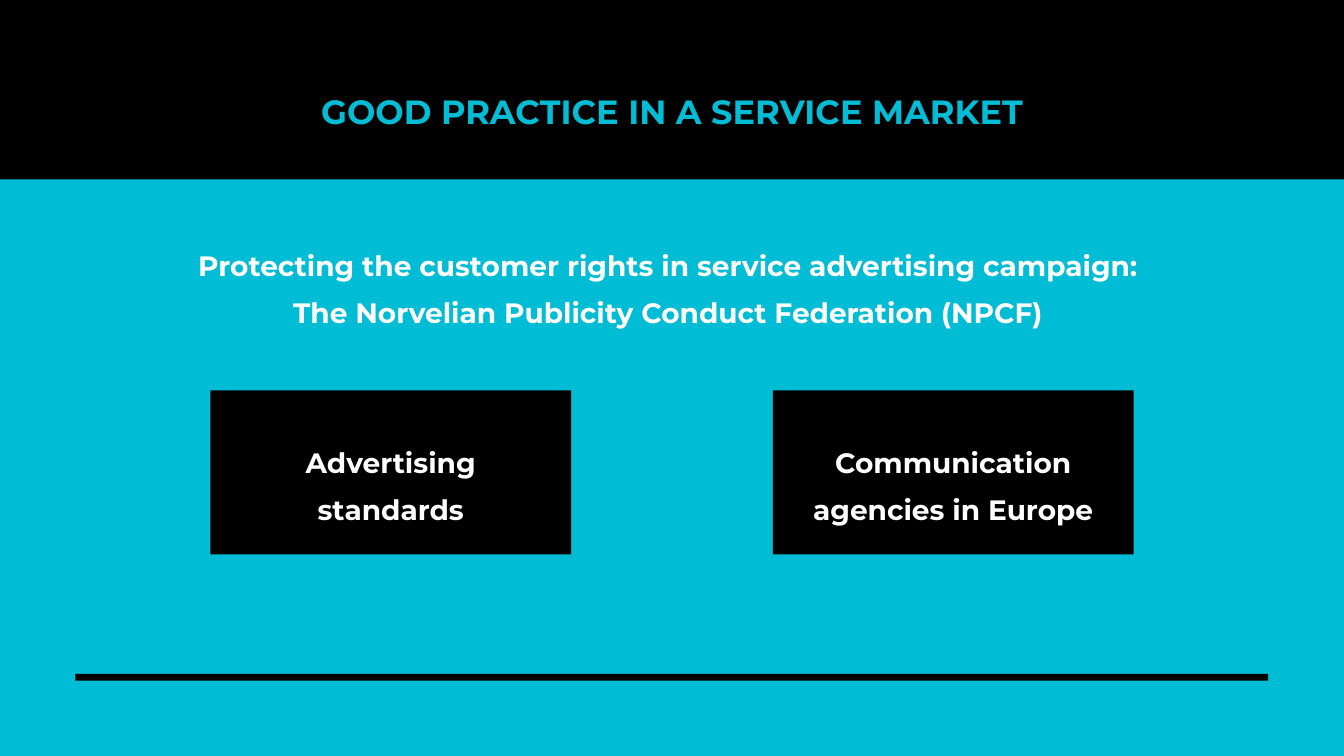
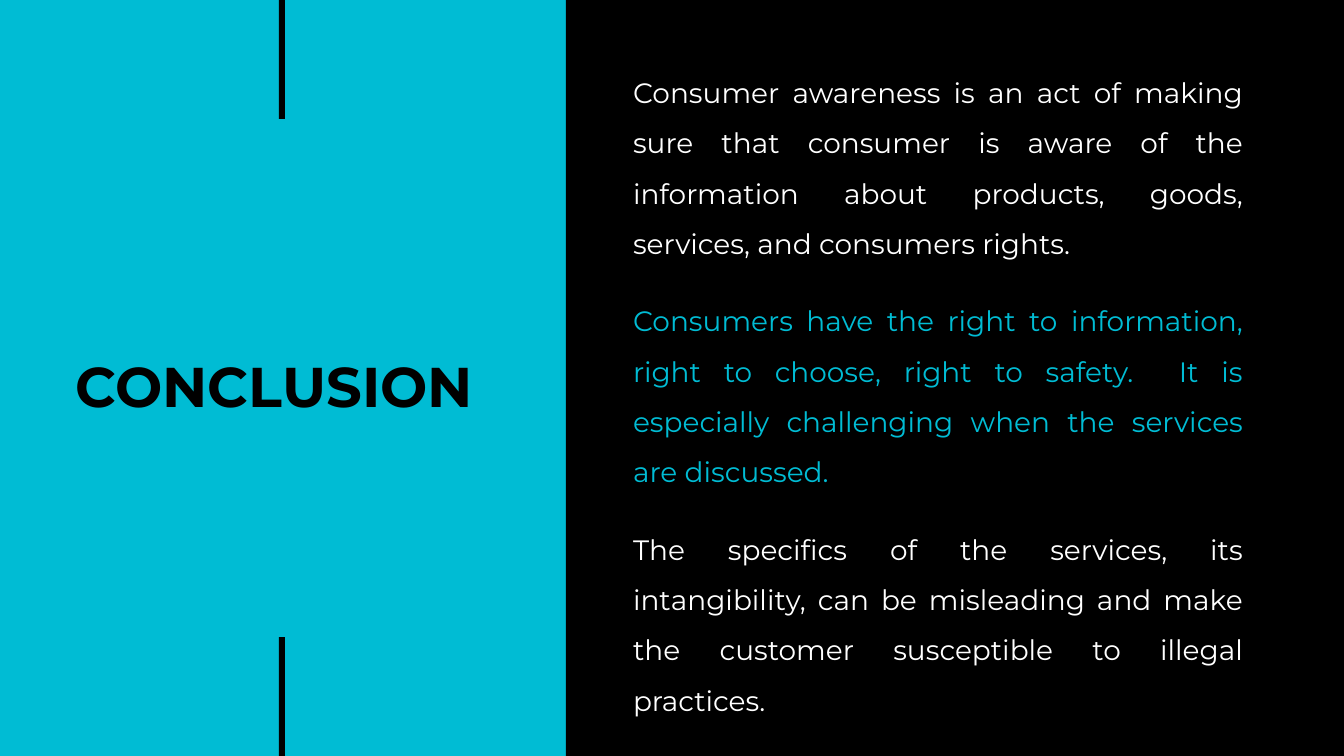
from pptx import Presentation
from pptx.dml.color import RGBColor
from pptx.enum import shapes, text
from pptx.util import Inches, Pt

CYAN, BLACK, WHITE = "00BCD4", "000000", "FFFFFF"
FONT = "Montserrat"
CENTER, JUSTIFY = text.PP_ALIGN.CENTER, text.PP_ALIGN.JUSTIFY
TOP, MIDDLE = text.MSO_ANCHOR.TOP, text.MSO_ANCHOR.MIDDLE


def add_block(s, x, y, w, h):
    """Add a plain black rectangle."""
    sp = s.shapes.add_shape(shapes.MSO_SHAPE.RECTANGLE,
                            Inches(x), Inches(y), Inches(w), Inches(h))
    sp.shadow.inherit = False
    sp.fill.solid()
    sp.fill.fore_color.rgb = RGBColor.from_string(BLACK)
    sp.line.fill.background()


def set_text(sp, box, lines, size, color, bold=True, align=CENTER, spacing=1.4, anchor=TOP):
    """Place a title or text box and fill it with one paragraph."""
    sp.left, sp.top, sp.width, sp.height = [Inches(v) for v in box]
    tf = sp.text_frame
    tf.word_wrap = True
    tf.auto_size = text.MSO_AUTO_SIZE.NONE
    tf.vertical_anchor = anchor
    tf.margin_left = tf.margin_top = tf.margin_right = tf.margin_bottom = 0
    p = tf.paragraphs[0]
    p.alignment = align
    p.line_spacing = spacing
    for i, line in enumerate(lines):
        if i:
            p.add_line_break()
        r = p.add_run()
        r.text = line
        r.font.name = FONT
        r.font.size = Pt(size)
        r.font.bold = bold
        r.font.color.rgb = RGBColor.from_string(color)


prs = Presentation()
prs.slide_width, prs.slide_height = Inches(20), Inches(11.25)
title_only = prs.slide_layouts[5]
background = prs.slide_master.background.fill
background.solid()
background.fore_color.rgb = RGBColor.from_string(CYAN)

# Slide 1: good practice
s = prs.slides.add_slide(title_only)
add_block(s, 0, 0, 20, 2.67)
add_block(s, 1.12, 10.03, 17.75, 0.1)
title = s.shapes.title
set_text(title, (1.39, 1.16, 17.22, 1.06), ["GOOD PRACTICE IN A SERVICE MARKET"],
         36, CYAN, spacing=1.31)
s.shapes.element.append(title.element)  # bring the title in front of the band

intro = s.shapes.add_textbox(0, 0, 0, 0)
set_text(intro, (1.39, 3.5, 17.22, 1.66),
         ["Protecting the customer rights in service advertising campaign: ",
          "The Norvelian Publicity Conduct Federation (NPCF) "], 30, WHITE)

card_w = 5.37
for card_x, label_w, label in [(3.13, 4.24, "Advertising standards"),
                               (11.5, 4.81, "Communication agencies in Europe")]:
    add_block(s, card_x, 5.81, card_w, 2.44)
    label_x = card_x + (card_w - label_w) / 2
    set_text(s.shapes.add_textbox(0, 0, 0, 0), (label_x, 6.43, label_w, 0.82),
             [label], 30, WHITE)

# Slide 2: conclusion
s = prs.slides.add_slide(title_only)
set_text(s.shapes.title, (0.16, 4.29, 8.07, 2.61), ["CONCLUSION "],
         60, BLACK, spacing=1.26, anchor=MIDDLE)
add_block(s, 8.42, 0, 11.58, 11.25)
for bar_y in (0, 9.48):
    add_block(s, 4.15, bar_y, 0.09, 1.77)

conclusions = [
    ("Consumer awareness is an act of making sure that consumer is aware of the "
     "information about products, goods, services, and consumers rights.", WHITE),
    ("Consumers have the right to information, right to choose, right to safety.  "
     "It is especially challenging when the services are discussed. ", CYAN),
    ("The specifics of the services, its intangibility, can be misleading and make "
     "the customer susceptible to illegal practices. ", WHITE),
]
for i, (conclusion, color) in enumerate(conclusions):
    set_text(s.shapes.add_textbox(0, 0, 0, 0), (9.42, 0.87 + i * 3.4, 9.08, 2.4),
             [conclusion], 30, color, bold=False, align=JUSTIFY, spacing=1.5)

prs.save("out.pptx")
